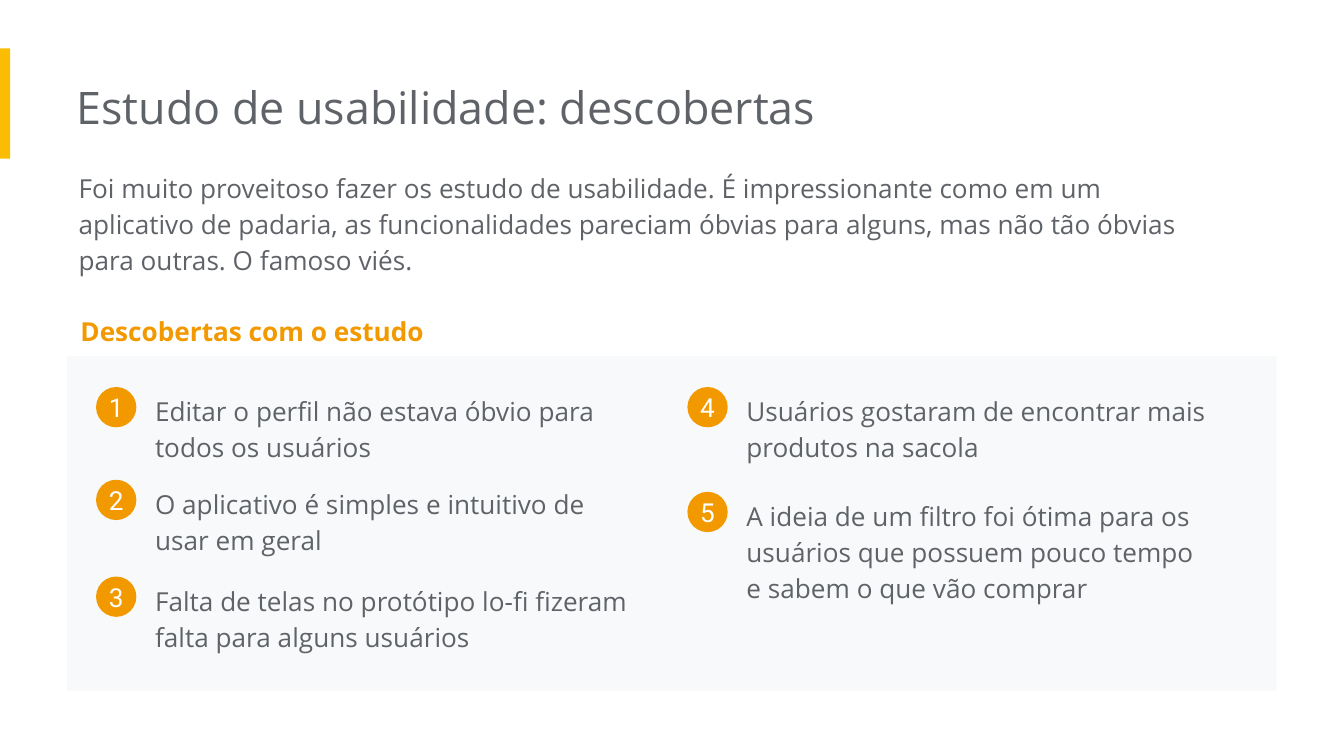
from dataclasses import dataclass

from pptx import Presentation
from pptx.dml.color import RGBColor
from pptx.enum.shapes import MSO_SHAPE
from pptx.enum.text import MSO_ANCHOR, MSO_AUTO_SIZE, PP_ALIGN
from pptx.util import Emu, Pt

RECT, OVAL = MSO_SHAPE.RECTANGLE, MSO_SHAPE.OVAL
MIDDLE, CENTER = MSO_ANCHOR.MIDDLE, PP_ALIGN.CENTER
GROW = MSO_AUTO_SIZE.SHAPE_TO_FIT_TEXT
EMU_PER_PX = 4572  # 200 px to the inch


@dataclass(frozen=True)
class Theme:
    text: str = "5F6368"
    accent: str = "F29900"
    bar: str = "FBBC04"
    panel: str = "F8F9FA"
    white: str = "FFFFFF"
    font: str = "Open Sans"
    number_font: str = "Roboto"
    title_size: int = 24
    body_size: int = 14
    spacing: float = 1.15


@dataclass(frozen=True)
class Box:
    x: int
    y: int
    w: int
    h: int


@dataclass(frozen=True)
class Finding:
    x: int
    y: int
    text: str
    w: int = 730
    h: int = 148


THEME = Theme()
SLIDE_W, SLIDE_H = 2000, 1125
INSET = 20
BADGE = 60
BADGE_DX, BADGE_DY = -68, 14  # badge offset from its text box
LEFT, RIGHT = 211, 1091

FINDINGS = [
    Finding(LEFT, 562, "Editar o perfil não estava óbvio para todos os usuários"),
    Finding(LEFT, 700, "O aplicativo é simples e intuitivo de usar em geral"),
    Finding(LEFT, 844, "Falta de telas no protótipo lo-fi fizeram falta para "
            "alguns usuários", w=824),
    Finding(RIGHT, 562, "Usuários gostaram de encontrar mais produtos na sacola"),
    Finding(RIGHT, 718, "A ideia de um filtro foi ótima para os usuários que "
            "possuem pouco tempo e sabem o que vão comprar", h=202),
]


def px(n: int) -> Emu:
    return Emu(n * EMU_PER_PX)


def place(box: Box) -> tuple[Emu, Emu, Emu, Emu]:
    return px(box.x), px(box.y), px(box.w), px(box.h)


def set_insets(tf, left: int, other: int) -> None:
    tf.margin_left = px(left)
    tf.margin_top = tf.margin_right = tf.margin_bottom = px(other)


def add_run(p, text: str, size: int, color: str, font: str, bold: bool = False) -> None:
    r = p.add_run()
    r.text = text
    r.font.size = Pt(size)
    r.font.name = font
    r.font.bold = bold
    r.font.color.rgb = RGBColor.from_string(color)


def add_filled(s, kind, box: Box, color: str):
    sp = s.shapes.add_shape(kind, *place(box))
    sp.shadow.inherit = False
    sp.fill.solid()
    sp.fill.fore_color.rgb = RGBColor.from_string(color)
    sp.line.fill.background()
    return sp


def add_text(s, box: Box, text: str, size: int = THEME.body_size,
             color: str = THEME.text, bold: bool = False, left: int = INSET,
             spacing: float = THEME.spacing) -> None:
    tf = s.shapes.add_textbox(*place(box)).text_frame
    tf.word_wrap = True
    tf.auto_size = GROW
    set_insets(tf, left, INSET)
    p = tf.paragraphs[0]
    p.line_spacing = spacing
    add_run(p, text, size, color, THEME.font, bold)


def add_finding(s, number: int, item: Finding) -> None:
    add_text(s, Box(item.x, item.y, item.w, item.h), item.text)
    badge = Box(item.x + BADGE_DX, item.y + BADGE_DY, BADGE, BADGE)
    tf = add_filled(s, OVAL, badge, THEME.accent).text_frame
    set_insets(tf, 0, 0)
    tf.vertical_anchor = MIDDLE
    p = tf.paragraphs[0]
    p.alignment = CENTER
    add_run(p, str(number), THEME.body_size, THEME.white, THEME.number_font)


def main() -> None:
    prs = Presentation()
    prs.slide_width, prs.slide_height = px(SLIDE_W), px(SLIDE_H)
    s = prs.slides.add_slide(prs.slide_layouts[6])

    # Accent bar and findings panel
    add_filled(s, RECT, Box(0, 72, 15, 164), THEME.bar)
    add_filled(s, RECT, Box(100, 530, 1800, 498), THEME.panel)

    # Title, introduction and panel heading
    add_text(s, Box(114, 98, 1346, 122), "Estudo de usabilidade: descobertas",
             size=THEME.title_size, left=0, spacing=1.0)
    add_text(s, Box(117, 230, 1722, 202),
             "Foi muito proveitoso fazer os estudo de usabilidade. É impressionante "
             "como em um aplicativo de padaria, as funcionalidades pareciam óbvias "
             "para alguns, mas não tão óbvias para outras. O famoso viés.", left=0)
    add_text(s, Box(100, 442, 730, 94), "Descobertas com o estudo",
             color=THEME.accent, bold=True)

    # Numbered findings
    for number, item in enumerate(FINDINGS, start=1):
        add_finding(s, number, item)

    prs.save("out.pptx")


if __name__ == "__main__":
    main()
